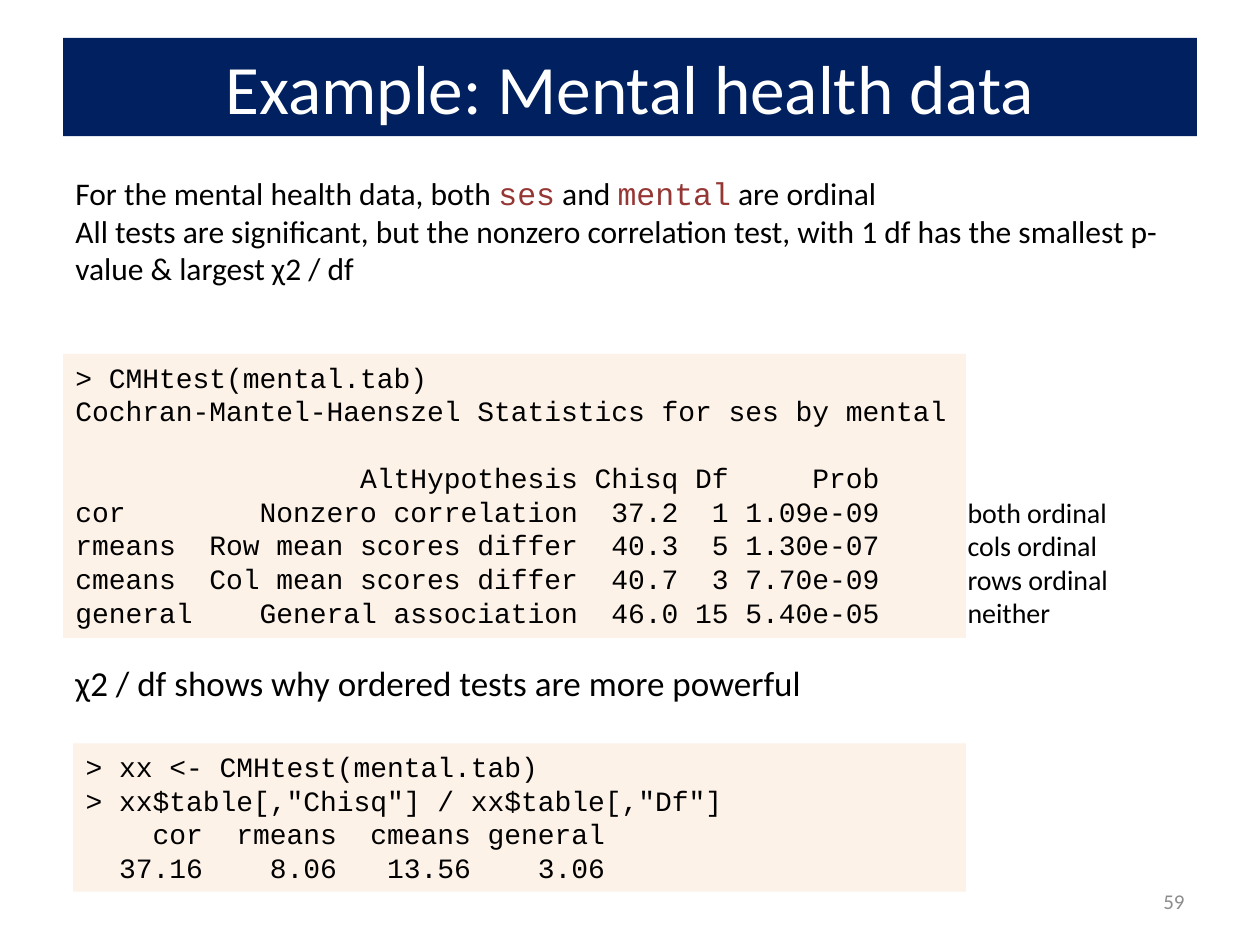
from lxml import etree
from pptx import Presentation
from pptx.dml.color import RGBColor
from pptx.enum.shapes import MSO_SHAPE
from pptx.enum.text import MSO_ANCHOR, PP_ALIGN
from pptx.oxml.ns import qn
from pptx.util import Pt

RECT = MSO_SHAPE.RECTANGLE
MIDDLE, TOP = MSO_ANCHOR.MIDDLE, MSO_ANCHOR.TOP
LEFT, CENTER, RIGHT = PP_ALIGN.LEFT, PP_ALIGN.CENTER, PP_ALIGN.RIGHT
SANS, MONO = "Calibri", "Courier New"
COLORS = {
    name: RGBColor.from_string(code)
    for name, code in {
        "navy": "002060", "white": "FFFFFF", "black": "000000",
        "brown": "953735", "peach": "FDEADA", "gray": "8C8C8C",
    }.items()
}

TESTS = """> CMHtest(mental.tab)
Cochran-Mantel-Haenszel Statistics for ses by mental

                 AltHypothesis Chisq Df     Prob
cor        Nonzero correlation  37.2  1 1.09e-09
rmeans  Row mean scores differ  40.3  5 1.30e-07
cmeans  Col mean scores differ  40.7  3 7.70e-09
general    General association  46.0 15 5.40e-05"""

RATIOS = """> xx <- CMHtest(mental.tab)
> xx$table[,"Chisq"] / xx$table[,"Df"]
    cor  rmeans  cmeans general
  37.16    8.06   13.56    3.06"""


def style(item, size, font=SANS, color="black"):
    """Format a run or a paragraph."""
    item.font.size = Pt(size)
    item.font.name = font
    item.font.color.rgb = COLORS[color]


def write(shape, text, size, font=SANS, color="black", align=LEFT, anchor=TOP):
    """Fill a shape with lines of text in one format."""
    frame = shape.text_frame
    frame.word_wrap = True
    frame.vertical_anchor = anchor
    frame.text = text
    for line in frame.paragraphs:
        line.alignment = align
        style(line, size, font, color)
        for run in line.runs:
            style(run, size, font, color)


prs = Presentation()
prs.slide_width, prs.slide_height = Pt(720), Pt(540)
slide = prs.slides.add_slide(prs.slide_layouts[5])
shapes = slide.shapes

title = shapes.title
title.left, title.top, title.width, title.height = Pt(36), Pt(21.6), Pt(648), Pt(56.2)
title.fill.solid()
title.fill.fore_color.rgb = COLORS["navy"]
write(title, "Example: Mental health data", 39.6, color="white", align=CENTER, anchor=MIDDLE)

page = shapes.add_textbox(Pt(516), Pt(500.5), Pt(168), Pt(28.8))
write(page, "59", 12, color="gray", align=RIGHT, anchor=MIDDLE)

intro = shapes.add_textbox(Pt(36), Pt(95.8), Pt(648), Pt(72.7))
write(
    intro,
    "\nAll tests are significant, but the nonzero correlation test, "
    "with 1 df has the smallest p-value & largest χ2 / df",
    18,
)
first = intro.text_frame.paragraphs[0]
for text, font, color in [
    ("For the mental health data, both ", SANS, "black"),
    ("ses", MONO, "brown"),
    (" and ", SANS, "black"),
    ("mental", MONO, "brown"),
    (" are ordinal", SANS, "black"),
]:
    run = first.add_run()
    run.text = text
    style(run, 18, font, color)

claim = shapes.add_textbox(Pt(36), Pt(374.4), Pt(648), Pt(31.5))
write(claim, "χ2 / df shows why ordered tests are more powerful", 20)

for code, left, top, width, height in [
    (RATIOS, 41.8, 424.8, 510.2, 84.8),
    (TESTS, 36, 202.2, 516, 162.4),
]:
    panel = shapes.add_shape(RECT, Pt(left), Pt(top), Pt(width), Pt(height))
    panel.shadow.inherit = False
    panel.line.fill.background()
    panel.fill.solid()
    panel.fill.fore_color.rgb = COLORS["peach"]
    tint = panel.fill._xPr.find(qn("a:solidFill"))[0]
    etree.SubElement(tint, qn("a:alpha"), val="60000")
    write(panel, code, 16, MONO)

notes = shapes.add_textbox(Pt(545.8), Pt(279.4), Pt(138.2), Pt(84.8))
write(notes, "both ordinal\ncols ordinal\nrows ordinal\nneither", 16)

prs.save("out.pptx")
